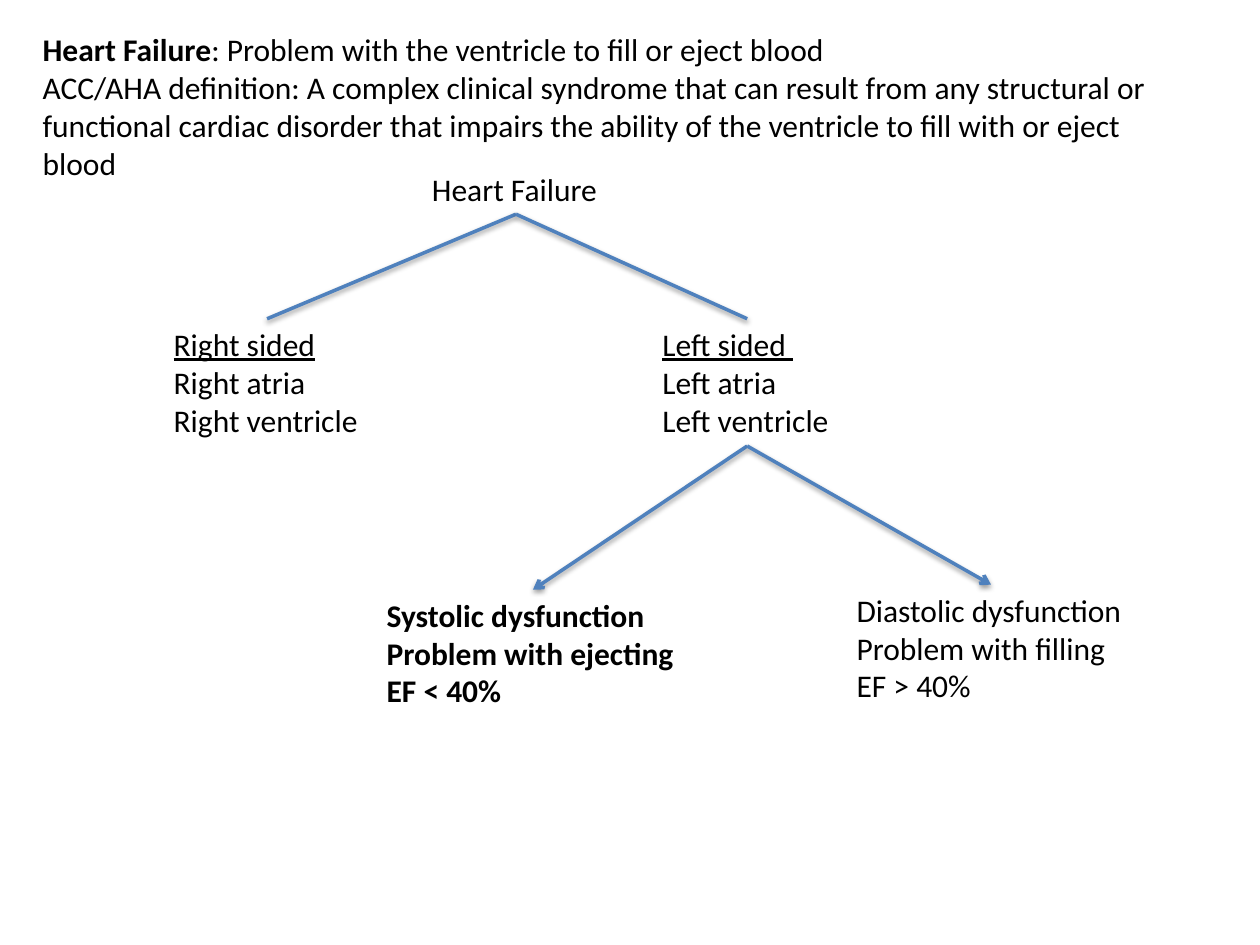
from lxml.etree import SubElement
from pptx import Presentation
from pptx.dml.color import RGBColor
from pptx.enum.shapes import MSO_CONNECTOR
from pptx.enum.text import MSO_AUTO_SIZE
from pptx.oxml.ns import qn
from pptx.util import Inches, Pt

COLORS = {"text": "000000", "branch": "4F81BD", "shadow": "000000"}
BOTTOM, TOP = 2, 0


def add_span(para, text, bold=False, underline=False):
    """Add one formatted run of text to a paragraph."""
    span = para.add_run()
    span.text = text
    font = span.font
    font.name = "Calibri"
    font.size = Pt(18)
    font.bold = bold
    font.underline = underline
    font.color.rgb = RGBColor.from_string(COLORS["text"])


def add_text(slide, paragraphs, left, top, width, height, wrap=False):
    """Add a text box from paragraphs, each a list of (text, format) pairs."""
    box = slide.shapes.add_textbox(
        Inches(left), Inches(top), Inches(width), Inches(height)
    )
    frame = box.text_frame
    frame.word_wrap = wrap
    frame.auto_size = MSO_AUTO_SIZE.SHAPE_TO_FIT_TEXT
    for index, spans in enumerate(paragraphs):
        para = frame.add_paragraph() if index else frame.paragraphs[0]
        for text, style in spans:
            add_span(para, text, **style)
    return box


def add_node(slide, lines, left, top, width, height=1.01, underline_first=False, bold=False):
    """Add a tree node with one paragraph per line."""
    paragraphs = [
        [(line, {"bold": bold, "underline": underline_first and index == 0})]
        for index, line in enumerate(lines)
    ]
    return add_text(slide, paragraphs, left, top, width, height)


def add_shadow(connector):
    """Give a connector a soft shadow straight below it."""
    effects = SubElement(connector._element.spPr, qn("a:effectLst"))
    shadow = SubElement(
        effects, qn("a:outerShdw"),
        blurRad=str(Pt(3.1)), dist=str(Pt(1.6)), dir="5400000", rotWithShape="0",
    )
    color = SubElement(shadow, qn("a:srgbClr"), val=COLORS["shadow"])
    SubElement(color, qn("a:alpha"), val="38000")


def add_branch(slide, parent, child, arrow=False):
    """Join the bottom of a parent node to the top of a child node."""
    connector = slide.shapes.add_connector(MSO_CONNECTOR.STRAIGHT, 0, 0, 0, 0)
    connector.begin_connect(parent, BOTTOM)
    connector.end_connect(child, TOP)
    connector.line.width = Pt(2)
    connector.line.color.rgb = RGBColor.from_string(COLORS["branch"])
    if arrow:
        SubElement(connector.line._get_or_add_ln(), qn("a:tailEnd"), type="arrow")
    add_shadow(connector)


def main():
    """Build the heart failure slide."""
    deck = Presentation()
    deck.slide_width, deck.slide_height = Inches(10), Inches(7.5)
    slide = deck.slides.add_slide(deck.slide_layouts[6])

    definition = [
        [
            ("Heart Failure", {"bold": True}),
            (": Problem with the ventricle to fill or eject blood", {}),
        ],
        [(
            "ACC/AHA definition: A complex clinical syndrome that can result from any "
            "structural or functional cardiac disorder that impairs the ability of the "
            "ventricle to fill with or eject blood", {},
        )],
    ]
    add_text(slide, definition, 0.24, 0.19, 9.34, 1.31, wrap=True)

    failure = add_node(slide, ["Heart Failure"], 3.33, 1.3, 1.53, height=0.4)
    right = add_node(
        slide, ["Right sided", "Right atria", "Right ventricle"],
        1.28, 2.53, 1.68, underline_first=True,
    )
    left = add_node(
        slide, ["Left sided ", "Left atria", "Left ventricle"],
        5.16, 2.53, 1.54, underline_first=True,
    )
    diastolic = add_node(
        slide, ["Diastolic dysfunction", "Problem with filling", "EF > 40%"],
        6.7, 4.64, 2.33,
    )
    systolic = add_node(
        slide, ["Systolic dysfunction", "Problem with ejecting", "EF < 40%"],
        2.97, 4.68, 2.52, bold=True,
    )

    for child in (right, left):
        add_branch(slide, failure, child)
    for child in (systolic, diastolic):
        add_branch(slide, left, child, arrow=True)

    deck.save("out.pptx")


if __name__ == "__main__":
    main()
